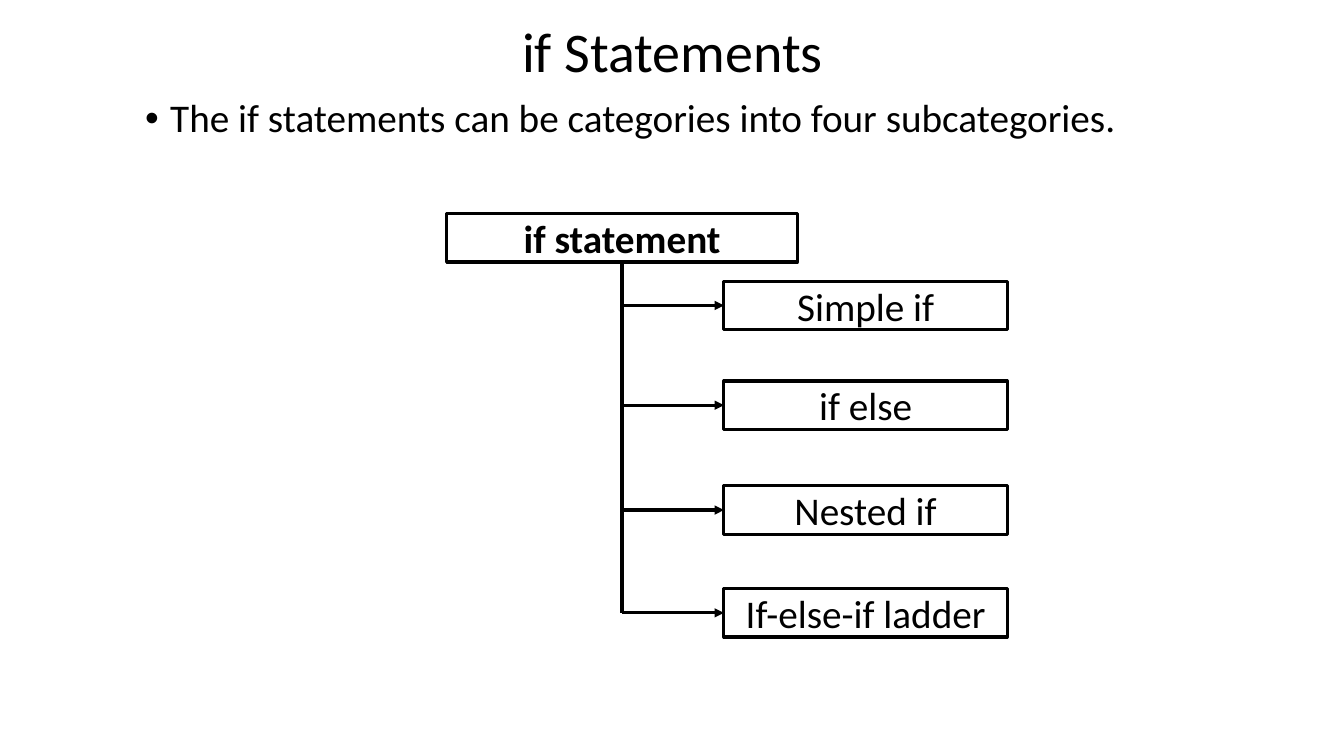
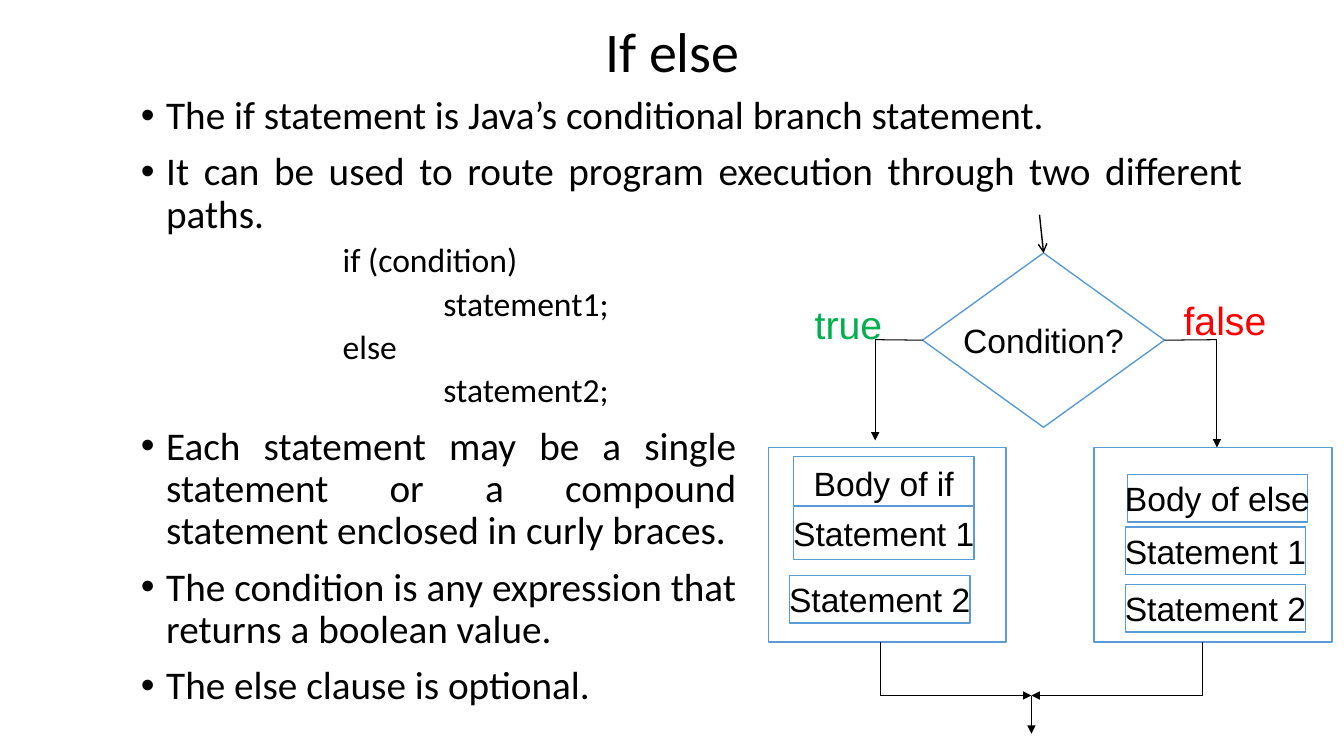
from dataclasses import dataclass

from lxml import etree
from pptx import Presentation
from pptx.dml.color import RGBColor
from pptx.enum.shapes import MSO_CONNECTOR, MSO_SHAPE
from pptx.enum.text import MSO_ANCHOR, PP_ALIGN
from pptx.oxml.ns import qn
from pptx.util import Inches, Pt

STRAIGHT = MSO_CONNECTOR.STRAIGHT
RECTANGLE = MSO_SHAPE.RECTANGLE
DECISION = MSO_SHAPE.FLOWCHART_DECISION
MIDDLE, TOP = MSO_ANCHOR.MIDDLE, MSO_ANCHOR.TOP
CENTER, JUSTIFY = PP_ALIGN.CENTER, PP_ALIGN.JUSTIFY
SIDE_TOP, SIDE_LEFT, SIDE_BOTTOM, SIDE_RIGHT = range(4)


@dataclass(frozen=True)
class Theme:
    ink: str = "000000"
    paper: str = "FFFFFF"
    outline: str = "5B9BD5"
    true: str = "00B050"
    false: str = "FF0000"
    text_font: str = "Calibri"
    chart_font: str = "Arial"
    title_size: int = 40
    body_size: int = 28
    small_size: int = 24
    tree_line: float = 2.25
    box_line: float = 1
    flow_line: float = 0.75
    leading: float = 0.9


@dataclass(frozen=True)
class Line:
    text: str
    indent: float
    bullet: bool = True


class Deck:
    def __init__(self, theme):
        self.theme = theme
        self.presentation = Presentation()
        self.presentation.slide_width = Inches(13.33)
        self.presentation.slide_height = Inches(7.5)
        self.slide = None

    def new_slide(self, title):
        self.slide = self.presentation.slides.add_slide(self.presentation.slide_layouts[6])
        heading = self.text_frame(0.92, 0.19, 11.5, 0.7, MIDDLE).paragraphs[0]
        heading.text = title
        heading.alignment = CENTER
        heading.line_spacing = self.theme.leading
        self.style(heading, self.theme.title_size)

    def text_frame(self, left, top, width, height, anchor):
        area = self.slide.shapes.add_textbox(Inches(left), Inches(top), Inches(width), Inches(height))
        area.text_frame.word_wrap = True
        area.text_frame.vertical_anchor = anchor
        return area.text_frame

    def style(self, paragraph, size, color=None, font=None, bold=False):
        paragraph.font.size = Pt(size)
        paragraph.font.name = font or self.theme.text_font
        paragraph.font.bold = bold
        paragraph.font.color.rgb = RGBColor.from_string(color or self.theme.ink)

    def body(self, left, top, width, height, lines):
        frame = self.text_frame(left, top, width, height, TOP)
        for index, line in enumerate(lines):
            paragraph = frame.add_paragraph() if index else frame.paragraphs[0]
            paragraph.text = line.text
            paragraph.alignment = JUSTIFY
            paragraph.line_spacing = self.theme.leading
            if index:
                paragraph.space_before = Pt(10 if line.bullet else 5)
            properties = paragraph._p.get_or_add_pPr()
            properties.set("marL", str(Inches(line.indent)))
            properties.set("indent", str(Inches(-0.25 if line.bullet else 0)))
            if line.bullet:
                etree.SubElement(properties, qn("a:buFont"), typeface="Arial")
                etree.SubElement(properties, qn("a:buChar"), char="•")
            self.style(paragraph, self.theme.body_size if line.bullet else self.theme.small_size)

    def box(self, left, top, width, height, outline, weight, kind=RECTANGLE):
        box = self.slide.shapes.add_shape(kind, Inches(left), Inches(top), Inches(width), Inches(height))
        box.shadow.inherit = False
        box.fill.solid()
        box.fill.fore_color.rgb = RGBColor.from_string(self.theme.paper)
        box.line.color.rgb = RGBColor.from_string(outline)
        box.line.width = Pt(weight)
        return box

    def label(self, box, text, size, wrap=False, **style):
        box.text_frame.word_wrap = wrap
        box.text_frame.vertical_anchor = MIDDLE
        paragraph = box.text_frame.paragraphs[0]
        paragraph.text = text
        paragraph.alignment = CENTER
        self.style(paragraph, size, **style)

    def tree_box(self, left, top, width, text, bold=False):
        node = self.box(left, top, width, 0.48, self.theme.ink, self.theme.tree_line)
        self.label(node, text, self.theme.body_size, wrap=True, bold=bold)
        return node

    def flow_box(self, left, top, width, height, text="", kind=RECTANGLE):
        node = self.box(left, top, width, height, self.theme.outline, self.theme.box_line, kind)
        if text:
            self.label(node, text, self.theme.small_size, font=self.theme.chart_font)
        return node

    def branch_label(self, left, top, width, height, text, color):
        tag = self.box(left, top, width, height, self.theme.paper, self.theme.box_line)
        self.label(tag, text, self.theme.body_size, color=color, font=self.theme.chart_font)

    def connect(self, start, end, weight, head=None, begin=None, finish=None):
        points = [Inches(value) for value in (*start, *end)]
        connector = self.slide.shapes.add_connector(STRAIGHT, *points)
        if begin:
            connector.begin_connect(*begin)
        if finish:
            connector.end_connect(*finish)
        connector.line.color.rgb = RGBColor.from_string(self.theme.ink)
        connector.line.width = Pt(weight)
        if head:
            etree.SubElement(connector.line._get_or_add_ln(), qn("a:tailEnd"), type=head)
        etree.SubElement(connector._element.spPr, qn("a:effectLst"))


def if_statements(deck):
    weight = deck.theme.tree_line
    deck.new_slide("if Statements")
    deck.body(1.34, 0.93, 10.44, 0.8, [
        Line("The if statements can be categories into four subcategories.", 0.25),
    ])
    trunk, child_left, half = 6.17, 7.18, 0.24
    children = [("Simple if", 2.79), ("if else", 3.78), ("Nested if", 4.82), ("If-else-if ladder", 5.84)]
    root = deck.tree_box(4.43, 2.12, 3.48, "if statement", bold=True)
    deck.connect((trunk, 2.6), (trunk, children[-1][1] + half), weight, begin=(root, SIDE_BOTTOM))
    for text, top in children:
        child = deck.tree_box(child_left, top, 2.81, text)
        level = top + half
        deck.connect((trunk, level), (child_left, level), weight, "triangle", finish=(child, SIDE_LEFT))


def if_else(deck):
    theme = deck.theme
    weight = theme.flow_line
    bullet, code, nested = 0.63, 2.38, 3.38
    deck.new_slide("If else")
    deck.body(0.92, 0.9, 11.5, 3.25, [
        Line("The if statement is Java’s conditional branch statement.", bullet),
        Line("It can be used to route program execution through two different paths.", bullet),
        Line("if (condition)", code, False),
        Line("statement1;", nested, False),
        Line("else", code, False),
        Line("statement2;", nested, False),
    ])
    deck.body(0.92, 4.18, 6.48, 3.3, [
        Line("Each statement may be a single statement or a compound statement "
             "enclosed in curly braces.", bullet),
        Line("The condition is any expression that returns a boolean value.", bullet),
        Line("The else clause is optional.", bullet),
    ])

    deck.branch_label(7.92, 3.11, 0.99, 0.2, "true", theme.true)
    deck.branch_label(11.7, 3.04, 0.9, 0.27, "false", theme.false)
    condition = deck.flow_box(9.15, 2.51, 2.4, 1.73, "Condition?", DECISION)
    deck.connect((10.31, 2.13), (10.35, 2.51), theme.box_line, "arrow", finish=(condition, SIDE_TOP))

    split, merge, merge_x, body_top, body_bottom = 3.37, 6.9, 10.23, 4.44, 6.37
    branches = [
        (7.62, SIDE_LEFT, 9.15, 8.68, 4.37, 8.73, [
            (7.87, 4.53, 0.53, "Body of if"),
            (7.87, 5.02, 0.53, "Statement 1"),
            (7.83, 5.71, 0.47, "Statement 2"),
        ]),
        (10.85, SIDE_RIGHT, 11.55, 12.07, body_top, 11.93, [
            (11.18, 4.71, 0.47, "Body of else"),
            (11.16, 5.23, 0.47, "Statement 1"),
            (11.16, 5.8, 0.47, "Statement 2"),
        ]),
    ]
    for left, side, corner, entry, entry_end, leave, steps in branches:
        deck.flow_box(left, body_top, 2.36, body_bottom - body_top)
        for step_left, top, height, text in steps:
            deck.flow_box(step_left, top, 1.79, height, text)
        deck.connect((corner, split), (entry, split), weight, begin=(condition, side))
        deck.connect((entry, split), (entry, entry_end), weight, "triangle")
        deck.connect((leave, body_bottom), (leave, merge), weight)
        deck.connect((leave, merge), (merge_x, merge), weight, "triangle")
    deck.connect((merge_x, merge), (merge_x, 7.28), weight, "triangle")


def main():
    deck = Deck(Theme())
    if_statements(deck)
    if_else(deck)
    deck.presentation.save("out.pptx")


if __name__ == "__main__":
    main()
